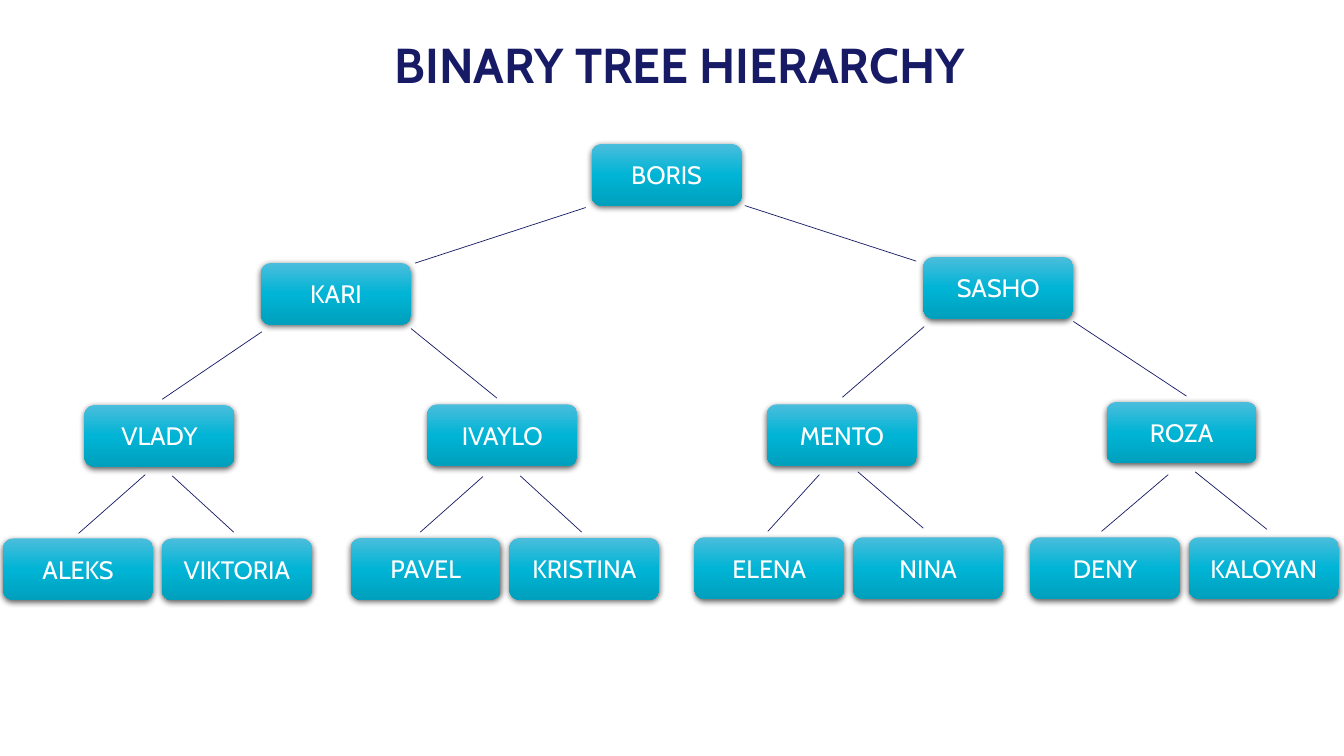
from copy import deepcopy

from lxml import etree
from pptx import Presentation
from pptx import util as u
from pptx.dml.color import RGBColor
from pptx.enum import shapes, text
from pptx.oxml import ns


def colour(value):
    return RGBColor.from_string(value)


class TreePage:
    font = "Cabin"
    navy = "171B65"
    gradient = [(0, "4BBDDC"), (0.5, "00B4D5"), (1, "00A0BD")]
    node_width, node_height = 3.78, 1.55

    def __init__(self, deck):
        self.page = deck.slides.add_slide(deck.slide_layouts[6])

    def label(self, shape, wording, size, ink, bold=False):
        frame = shape.text_frame
        frame.text = wording
        frame.word_wrap = True
        frame.vertical_anchor = text.MSO_ANCHOR.MIDDLE
        para = frame.paragraphs[0]
        para.alignment = text.PP_ALIGN.CENTER
        font = para.runs[0].font
        font.name, font.size, font.bold = self.font, u.Pt(size), bold
        font.color.rgb = colour(ink)
        return para

    def title(self, wording, left, top, width, height):
        box = self.page.shapes.add_textbox(u.Cm(left), u.Cm(top), u.Cm(width), u.Cm(height))
        self.label(box, wording, 35, self.navy, True).line_spacing = 0.9

    def node(self, name, left, top):
        box = self.page.shapes.add_shape(
            shapes.MSO_SHAPE.ROUNDED_RECTANGLE,
            u.Cm(left), u.Cm(top), u.Cm(self.node_width), u.Cm(self.node_height))
        box.line.fill.background()
        self.shade(box)
        self.drop_shadow(box)
        self.label(box, name, 18, "FFFFFF")

    def shade(self, box):
        box.fill.gradient()
        box.fill.gradient_angle = 270
        stops = box.element.spPr.find(".//" + ns.qn("a:gsLst"))
        stops.append(deepcopy(stops[0]))
        for stop, (position, shade) in zip(box.fill.gradient_stops, self.gradient):
            stop.position = position
            stop.color.rgb = colour(shade)

    def drop_shadow(self, box):
        box.shadow.inherit = False
        effects = box.element.spPr.find(ns.qn("a:effectLst"))
        shadow = etree.SubElement(
            effects, ns.qn("a:outerShdw"), blurRad=str(u.Pt(4.5)),
            dist=str(u.Pt(1.5)), dir="5400000", algn="ctr", rotWithShape="0")
        black = etree.SubElement(shadow, ns.qn("a:srgbClr"), val="000000")
        etree.SubElement(black, ns.qn("a:alpha"), val="63000")

    def branch(self, *ends):
        line = self.page.shapes.add_connector(
            shapes.MSO_CONNECTOR.STRAIGHT, *[u.Cm(end) for end in ends])
        line.line.color.rgb = colour(self.navy)
        line.line.width = u.Pt(0.5)
        etree.SubElement(line.element.spPr, ns.qn("a:effectLst"))


MANAGERS = [
    ("BORIS", 14.91, 3.63),
    ("SASHO", 23.27, 6.48),
    ("KARI", 6.58, 6.63),
    ("VLADY", 2.13, 10.21),
    ("IVAYLO", 10.77, 10.19),
    ("MENTO", 19.33, 10.19),
    ("ROZA", 27.89, 10.13),
]
LEAF_PAIRS = [
    (("ALEKS", "VIKTORIA"), 0.08, 13.57),
    (("PAVEL", "KRISTINA"), 8.84, 13.56),
    (("ELENA", "NINA"), 17.5, 13.54),
    (("DENY", "KALOYAN"), 25.96, 13.54),
]
LEAF_STEP = 4
BRANCHES = [
    (14.76, 5.23, 10.46, 6.63),
    (18.77, 5.18, 23.09, 6.58),
    (6.6, 8.36, 4.09, 10.06),
    (10.36, 8.28, 12.52, 10.03),
    (23.29, 8.23, 21.23, 10.01),
    (27.05, 8.1, 29.9, 9.98),
    (3.66, 11.96, 1.98, 13.44),
    (4.34, 11.99, 5.89, 13.41),
    (12.17, 12.01, 10.59, 13.41),
    (13.11, 11.99, 14.66, 13.41),
    (20.65, 11.96, 19.35, 13.39),
    (21.62, 11.89, 23.27, 13.31),
    (30.12, 11.89, 31.93, 13.34),
    (29.44, 11.96, 27.76, 13.39),
]


def main():
    deck = Presentation()
    deck.slide_width, deck.slide_height = u.Cm(33.87), u.Cm(19.05)
    tree = TreePage(deck)
    tree.title("BINARY TREE HIERARCHY", 1.14, 0.97, 32, 1.47)
    for name, left, top in MANAGERS:
        tree.node(name, left, top)
    for names, left, top in LEAF_PAIRS:
        for place, name in enumerate(names):
            tree.node(name, left + place * LEAF_STEP, top)
    for ends in BRANCHES:
        tree.branch(*ends)
    deck.save("out.pptx")


if __name__ == "__main__":
    main()
